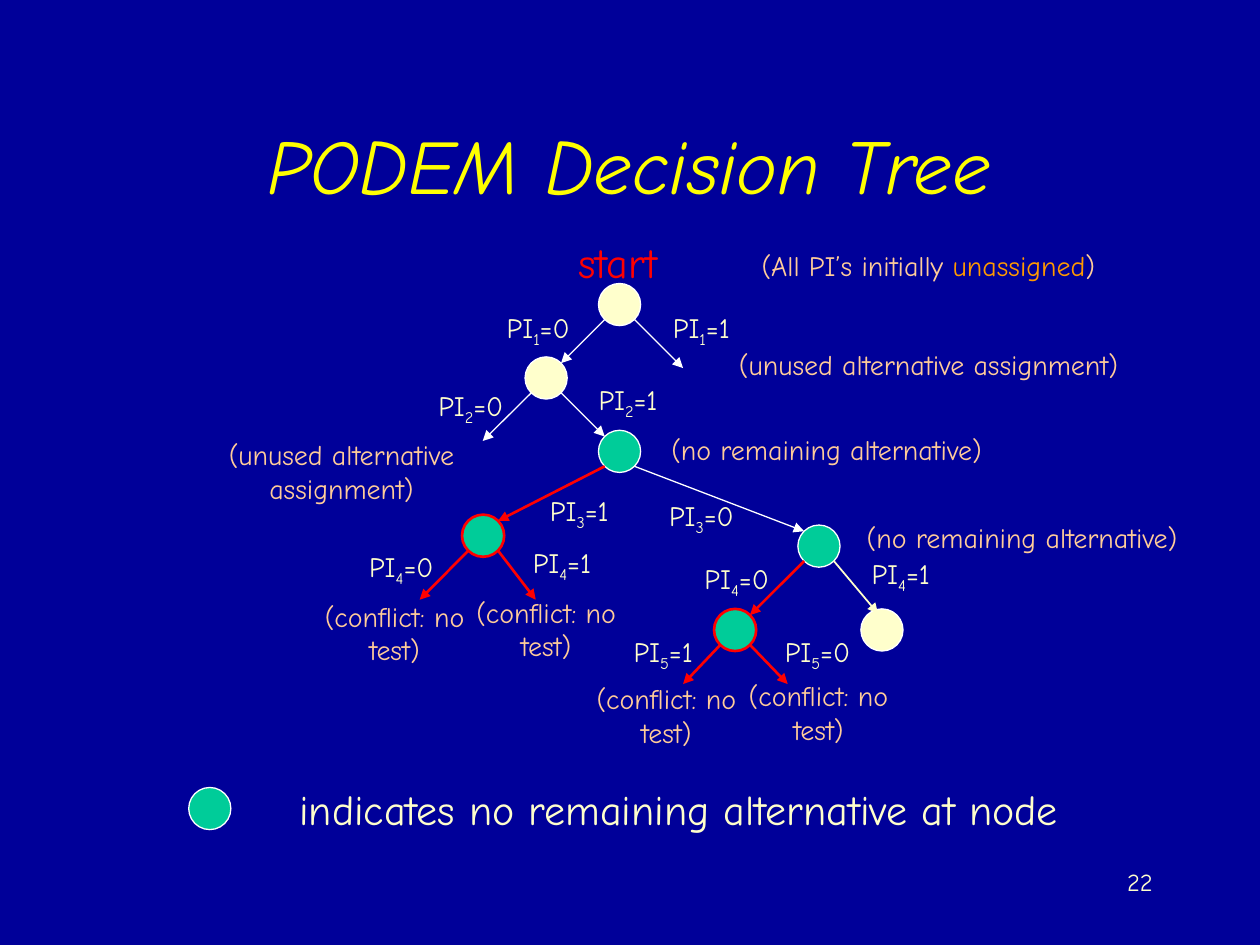
from lxml import etree
from pptx import Presentation
from pptx.dml.color import RGBColor
from pptx.enum import shapes, text
from pptx.oxml.ns import qn
from pptx.util import Cm, Pt

FONT = "Comic Neue"
COLORS = {
    "background": "000099", "title": "FFFF00", "cream": "FFFFCC",
    "green": "00CC99", "white": "FFFFFF", "red": "FF0000",
    "peach": "FFCC99", "orange": "FF9900",
}
DIAMETER = 0.85
EDGE = 0.3  # horizontal and vertical distance from a node's centre to its arrows
LABEL_WIDTH, LABEL_HEIGHT = 2, 1.04

# name: (centre x, centre y, fill, outline)
NODES = {
    "root": (12.49, 6.14, "cream", "white"),
    "pi2": (11.01, 7.62, "cream", "white"),
    "pi3": (12.49, 9.1, "green", "white"),
    "left pi4": (9.74, 10.8, "green", "red"),
    "right pi4": (16.51, 11.01, "green", "white"),
    "pi5": (14.82, 12.7, "green", "red"),
    "open": (17.78, 12.7, "cream", "white"),
    "legend": (4.23, 16.3, "green", "white"),
}

# parent, child node or arrow tip, colour, width, input, value, label centre
BRANCHES = [
    ("root", "pi2", "white", 0.75, 1, 0, (10.85, 6.64)),
    ("root", (13.77, 7.42), "white", 0.75, 1, 1, (14.14, 6.64)),
    ("pi2", (9.73, 8.89), "white", 0.75, 2, 0, (9.49, 8.22)),
    ("pi2", "pi3", "white", 0.75, 2, 1, (12.66, 8.09)),
    ("pi3", "left pi4", "red", 1.5, 3, 1, (11.68, 10.33)),
    ("pi3", "right pi4", "white", 0.75, 3, 0, (14.14, 10.43)),
    ("left pi4", (8.46, 12.09), "red", 1.5, 4, 0, (8.09, 11.47)),
    ("left pi4", (10.8, 12.09), "red", 1.5, 4, 1, (11.33, 11.39)),
    ("right pi4", "pi5", "red", 1.5, 4, 0, (14.85, 11.7)),
    ("right pi4", (17.7, 12.37), "cream", 1, 4, 1, (18.16, 11.6)),
    ("pi5", (13.77, 13.79), "red", 1.5, 5, 1, (13.37, 13.17)),
    ("pi5", (15.88, 13.79), "red", 1.5, 5, 0, (16.48, 13.17)),
]

# text, left, top, width, height, wrap
UNUSED = "(unused alternative assignment)"
NO_REMAINING = "(no remaining alternative)"
CONFLICT = "(conflict: no test)"
NOTES = [
    (UNUSED, 14.53, 6.88, 8.38, 0.94, False),
    (NO_REMAINING, 13.16, 8.59, 7.01, 0.94, False),
    (NO_REMAINING, 17.1, 10.36, 7.01, 0.94, False),
    (UNUSED, 3.81, 8.69, 6.15, 1.63, True),
    (CONFLICT, 6.15, 11.94, 3.61, 1.63, True),
    (CONFLICT, 9.32, 11.86, 3.38, 1.63, True),
    (CONFLICT, 11.63, 13.61, 3.61, 1.63, True),
    (CONFLICT, 14.81, 13.54, 3.38, 1.63, True),
]


def rgb(name):
    return RGBColor.from_string(COLORS[name])


def write(para, content, *, size=16, color="cream", italic=False, subscript=False):
    span = para.add_run()
    span.text = content
    font = span.font
    font.name, font.size, font.italic = FONT, Pt(size), italic
    font.color.rgb = rgb(color)
    if subscript:
        span._r.get_or_add_rPr().set("baseline", "-25000")


def add_box(slide, left, top, width, height, *, wrap=False,
            align=text.PP_ALIGN.CENTER, anchor=text.MSO_ANCHOR.MIDDLE):
    """Add an empty text box and return its first paragraph."""
    box = slide.shapes.add_textbox(Cm(left), Cm(top), Cm(width), Cm(height))
    frame = box.text_frame
    frame.word_wrap = wrap
    if not wrap:
        frame.auto_size = text.MSO_AUTO_SIZE.SHAPE_TO_FIT_TEXT
    frame.vertical_anchor = anchor
    para = frame.paragraphs[0]
    para.alignment = align
    return para


def add_title(slide, content):
    title = slide.shapes.title
    title.left, title.top, title.width, title.height = Cm(1.9), Cm(1.7), Cm(21.6), Cm(3.18)
    frame = title.text_frame
    frame.vertical_anchor = text.MSO_ANCHOR.MIDDLE
    frame.auto_size = text.MSO_AUTO_SIZE.NONE
    para = frame.paragraphs[0]
    para.alignment = text.PP_ALIGN.CENTER
    write(para, content, size=44, color="title", italic=True)


def add_node(slide, x, y, fill, outline):
    node = slide.shapes.add_shape(
        shapes.MSO_SHAPE.FLOWCHART_CONNECTOR,
        Cm(x - DIAMETER / 2), Cm(y - DIAMETER / 2), Cm(DIAMETER), Cm(DIAMETER))
    node.shadow.inherit = False
    node.fill.solid()
    node.fill.fore_color.rgb = rgb(fill)
    node.line.color.rgb = rgb(outline)
    node.line.width = Pt(1.5 if outline == "red" else 0.75)


def add_arrow(slide, start, end, color, width):
    arrow = slide.shapes.add_connector(
        shapes.MSO_CONNECTOR.STRAIGHT, *(Cm(value) for value in (*start, *end)))
    arrow.line.color.rgb = rgb(color)
    arrow.line.width = Pt(width)
    etree.SubElement(arrow.line._get_or_add_ln(), qn("a:tailEnd"), type="triangle")
    etree.SubElement(arrow._element.spPr, qn("a:effectLst"))


def add_branch(slide, parent, target, color, width):
    """Draw an arrow from a node to another node, or to a free tip."""
    x, y = NODES[parent][:2]
    target_x, target_y = NODES[target][:2] if target in NODES else target
    side = EDGE if target_x > x else -EDGE
    end = (target_x - side, target_y - EDGE) if target in NODES else target
    add_arrow(slide, (x + side, y + EDGE), end, color, width)


def add_assignment(slide, number, value, center):
    x, y = center
    para = add_box(slide, x - LABEL_WIDTH / 2, y - LABEL_HEIGHT / 2,
                   LABEL_WIDTH, LABEL_HEIGHT)
    write(para, "PI")
    write(para, str(number), subscript=True)
    write(para, f"={value}")


def main():
    deck = Presentation()
    deck.slide_width, deck.slide_height = Cm(25.4), Cm(19.05)
    slide = deck.slides.add_slide(deck.slide_layouts[5])
    slide.background.fill.solid()
    slide.background.fill.fore_color.rgb = rgb("background")

    add_title(slide, "PODEM Decision Tree")
    for node in NODES.values():
        add_node(slide, *node)
    for parent, target, color, width, number, value, center in BRANCHES:
        add_branch(slide, parent, target, color, width)
        add_assignment(slide, number, value, center)
    for content, *place, wrap in NOTES:
        write(add_box(slide, *place, wrap=wrap), content, color="peach")

    write(add_box(slide, 11.4, 4.65, 2.11, 1.27), "start", size=24, color="red")
    para = add_box(slide, 14.91, 4.88, 7.61, 0.94)
    write(para, "(All PI’s initially ", color="peach")
    write(para, "unassigned", color="orange")
    write(para, ")", color="peach")
    write(add_box(slide, 5.74, 15.67, 15.88, 1.27),
          "indicates no remaining alternative at node", size=24)
    page_number = add_box(slide, 18.21, 17.35, 5.28, 1.27, wrap=True,
                          align=text.PP_ALIGN.RIGHT, anchor=text.MSO_ANCHOR.TOP)
    write(page_number, "22", size=14)
    deck.save("out.pptx")


if __name__ == "__main__":
    main()
